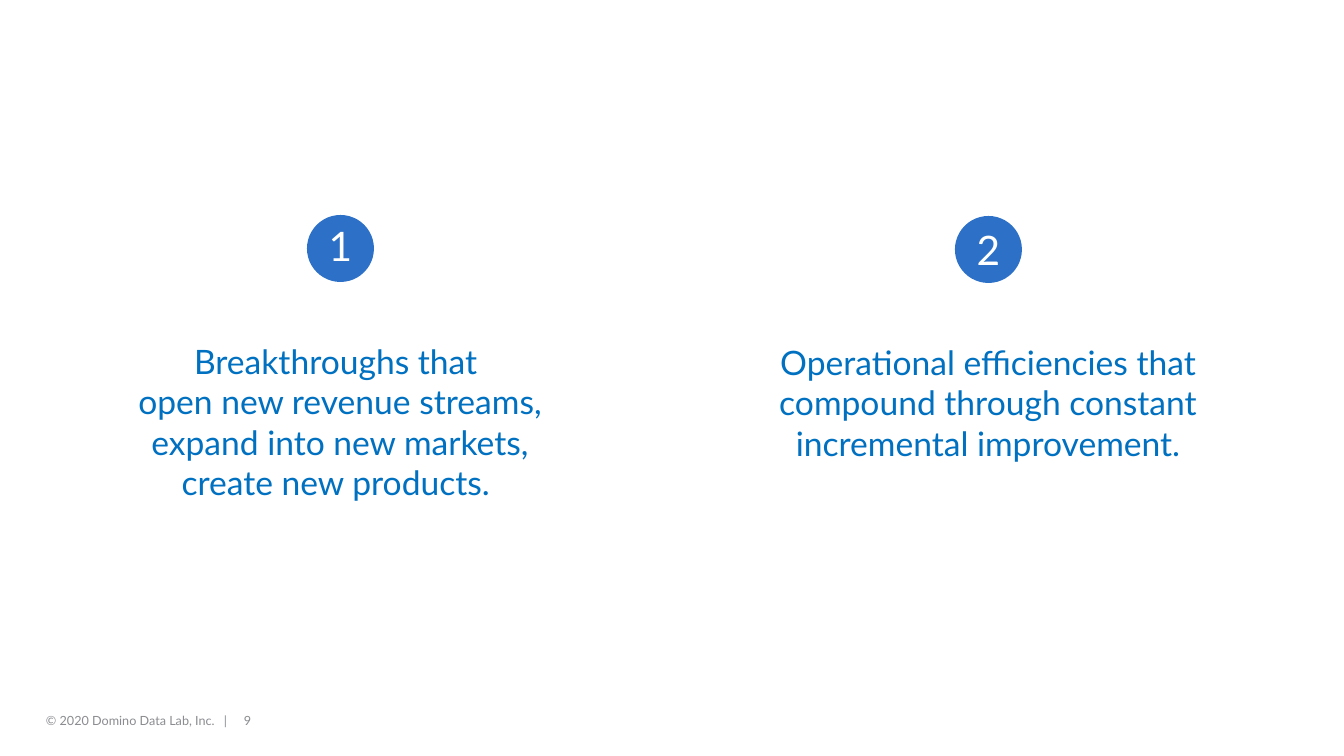
from lxml import etree
from pptx import Presentation
from pptx.dml.color import RGBColor
from pptx.enum.shapes import MSO_SHAPE
from pptx.enum.text import MSO_ANCHOR, PP_ALIGN
from pptx.oxml.ns import qn
from pptx.util import Emu, Pt

OVAL = MSO_SHAPE.OVAL
CENTER, LEFT = PP_ALIGN.CENTER, PP_ALIGN.LEFT
TOP, MIDDLE = MSO_ANCHOR.TOP, MSO_ANCHOR.MIDDLE

COLORS = {
    "badge": "2C71C7",
    "numeral": "FFFFFF",
    "message": "0070C0",
    "footer": "8B8C90",
}
FONT = "Lato"
EMU_PER_PX = 914400 / 100.8


def px(length):
    return Emu(round(length * EMU_PER_PX))


def color(name):
    return RGBColor.from_string(COLORS[name])


def write(frame, text, size, ink, align=LEFT, anchor=TOP, inset=(5, 5), stops=()):
    frame.word_wrap = True
    frame.vertical_anchor = anchor
    frame.margin_left = frame.margin_right = px(inset[0])
    frame.margin_top = frame.margin_bottom = px(inset[1])
    paragraph = frame.paragraphs[0]
    paragraph.text = text
    paragraph.alignment = align
    if stops:
        tabs = etree.SubElement(paragraph._p.get_or_add_pPr(), qn("a:tabLst"))
        for stop in stops:
            etree.SubElement(tabs, qn("a:tab"), pos=str(px(stop)), algn="l")
    for run in paragraph.runs:
        run.font.name = FONT
        run.font.size = Pt(size)
        run.font.color.rgb = color(ink)


class BenefitSlide:
    def __init__(self, deck):
        self.slide = deck.slides.add_slide(deck.slide_layouts[6])

    def text(self, parent, box, text, **style):
        holder = parent.shapes.add_textbox(*map(px, box))
        write(holder.text_frame, text, **style)

    def badge(self, parent, box):
        disc = parent.shapes.add_shape(OVAL, *map(px, box))
        disc.shadow.inherit = False
        disc.fill.solid()
        disc.fill.fore_color.rgb = color("badge")
        disc.line.fill.background()

    def benefit(self, numeral, message, center, top, drop, width):
        column = self.slide.shapes.add_group_shape()
        self.badge(column, (center - 33, top, 67, 67))
        self.text(column, (center - 34, top + drop, 69, 59), numeral,
                  size=29, ink="numeral", align=CENTER)
        self.text(column, (center - width // 2, top + 121, width, 172), message,
                  size=24, ink="message", align=CENTER)

    def footer(self, text):
        self.text(self.slide, (36, 701, 302, 40), text, size=9, ink="footer",
                  anchor=MIDDLE, inset=(10, 5), stops=(178, 198))


def main():
    deck = Presentation()
    deck.slide_width, deck.slide_height = px(1344), px(756)
    page = BenefitSlide(deck)
    page.footer("© 2020 Domino Data Lab, Inc.\t|\t9")
    page.benefit(
        "1",
        "Breakthroughs that \vopen new revenue streams, expand into new markets, "
        "create new products. ",
        center=340, top=215, drop=1, width=440)
    page.benefit(
        "2",
        "Operational efficiencies that compound through constant "
        "incremental improvement.",
        center=988, top=216, drop=4, width=428)
    deck.save("out.pptx")


if __name__ == "__main__":
    main()
